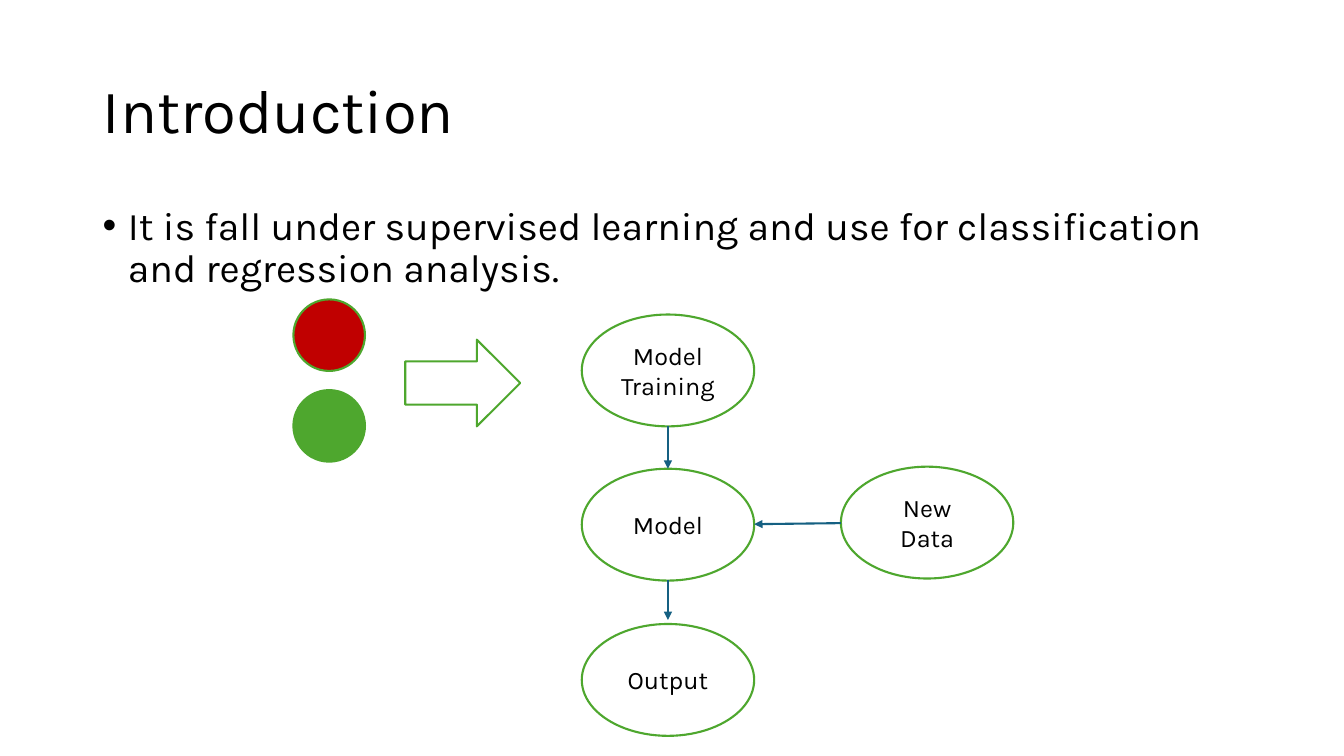
from lxml import etree
from pptx import Presentation
from pptx.dml.color import RGBColor
from pptx.enum.shapes import MSO_CONNECTOR, MSO_SHAPE
from pptx.enum.text import MSO_ANCHOR, MSO_AUTO_SIZE, PP_ALIGN
from pptx.oxml.ns import qn
from pptx.util import Inches, Pt

OVAL, ARROW = MSO_SHAPE.OVAL, MSO_SHAPE.RIGHT_ARROW
STRAIGHT = MSO_CONNECTOR.STRAIGHT
LEFT, CENTER = PP_ALIGN.LEFT, PP_ALIGN.CENTER
MIDDLE, TOP = MSO_ANCHOR.MIDDLE, MSO_ANCHOR.TOP
FIXED = MSO_AUTO_SIZE.NONE

GREEN, RED, BLUE, WHITE, BLACK = "4EA72E", "C00000", "156082", "FFFFFF", "000000"
MARGIN, TEXT_W, TEXT_H = 0.92, 11.5, 1.45
NODE_W, NODE_H = 1.71, 1.11
FLOW_X, DATA_X = 5.77, 8.34
DOT = 0.71


def rgb(color):
    return RGBColor.from_string(color)


def write(shape, text, size, align, anchor, spacing=1.0):
    """Put one formatted paragraph in the shape and return it."""
    tf = shape.text_frame
    tf.word_wrap, tf.auto_size, tf.vertical_anchor = True, FIXED, anchor
    p = tf.paragraphs[0]
    p.alignment, p.line_spacing = align, spacing
    r = p.add_run()
    r.text = text
    r.font.name, r.font.size = "Karla", Pt(size)
    r.font.color.rgb = rgb(BLACK)
    return p


prs = Presentation()
prs.slide_width, prs.slide_height = Inches(13.33), Inches(7.5)
s = prs.slides.add_slide(prs.slide_layouts[5])

# Title and bullet
title = s.shapes.title
title.left, title.top = Inches(MARGIN), Inches(0.4)
title.width, title.height = Inches(TEXT_W), Inches(TEXT_H)
write(title, "Introduction", 44, LEFT, MIDDLE, 0.9)

body = s.shapes.add_textbox(Inches(MARGIN), Inches(2), Inches(TEXT_W), Inches(TEXT_H))
p = write(body, "It is fall under supervised learning and use for classification "
          "and regression analysis.", 28, LEFT, TOP, 0.9)
p.space_before = Pt(10)
pPr = p._p.get_or_add_pPr()
pPr.set("marL", str(Inches(0.25)))
pPr.set("indent", str(-Inches(0.25)))
etree.SubElement(pPr, qn("a:buFont")).set("typeface", "Arial")
etree.SubElement(pPr, qn("a:buChar")).set("char", "•")

# Data classes, block arrow and the nodes of the flow
shapes = [
    (OVAL, 2.91, 3.87, DOT, DOT, GREEN, ""),
    (ARROW, 4.02, 3.37, 1.14, 0.86, WHITE, ""),
    (OVAL, FLOW_X, 3.12, NODE_W, NODE_H, WHITE, "Model Training"),
    (OVAL, FLOW_X, 4.65, NODE_W, NODE_H, WHITE, "Model"),
    (OVAL, DATA_X, 4.63, NODE_W, NODE_H, WHITE, "New Data"),
    (OVAL, FLOW_X, 6.19, NODE_W, NODE_H, WHITE, "Output"),
    (OVAL, 2.91, 2.97, DOT, DOT, RED, ""),
]
for kind, x, y, w, h, fill, text in shapes:
    sp = s.shapes.add_shape(kind, Inches(x), Inches(y), Inches(w), Inches(h))
    sp.shadow.inherit = False
    sp.fill.solid()
    sp.fill.fore_color.rgb = rgb(fill)
    sp.line.color.rgb = rgb(GREEN)
    sp.line.width = Pt(1.5)
    if text:
        write(sp, text, 18, CENTER, MIDDLE)

# Arrows between the nodes
mid_x = FLOW_X + NODE_W / 2
arrows = [
    (mid_x, 4.23, mid_x, 4.65),
    (DATA_X, 5.19, FLOW_X + NODE_W, 5.2),
    (mid_x, 5.75, mid_x, 6.15),
]
for ends in arrows:
    cn = s.shapes.add_connector(STRAIGHT, *[Inches(v) for v in ends])
    cn.line.color.rgb = rgb(BLUE)
    cn.line.width = Pt(1.5)
    etree.SubElement(cn.line._get_or_add_ln(), qn("a:tailEnd")).set("type", "triangle")
    etree.SubElement(cn._element.spPr, qn("a:effectLst"))

prs.save("out.pptx")
